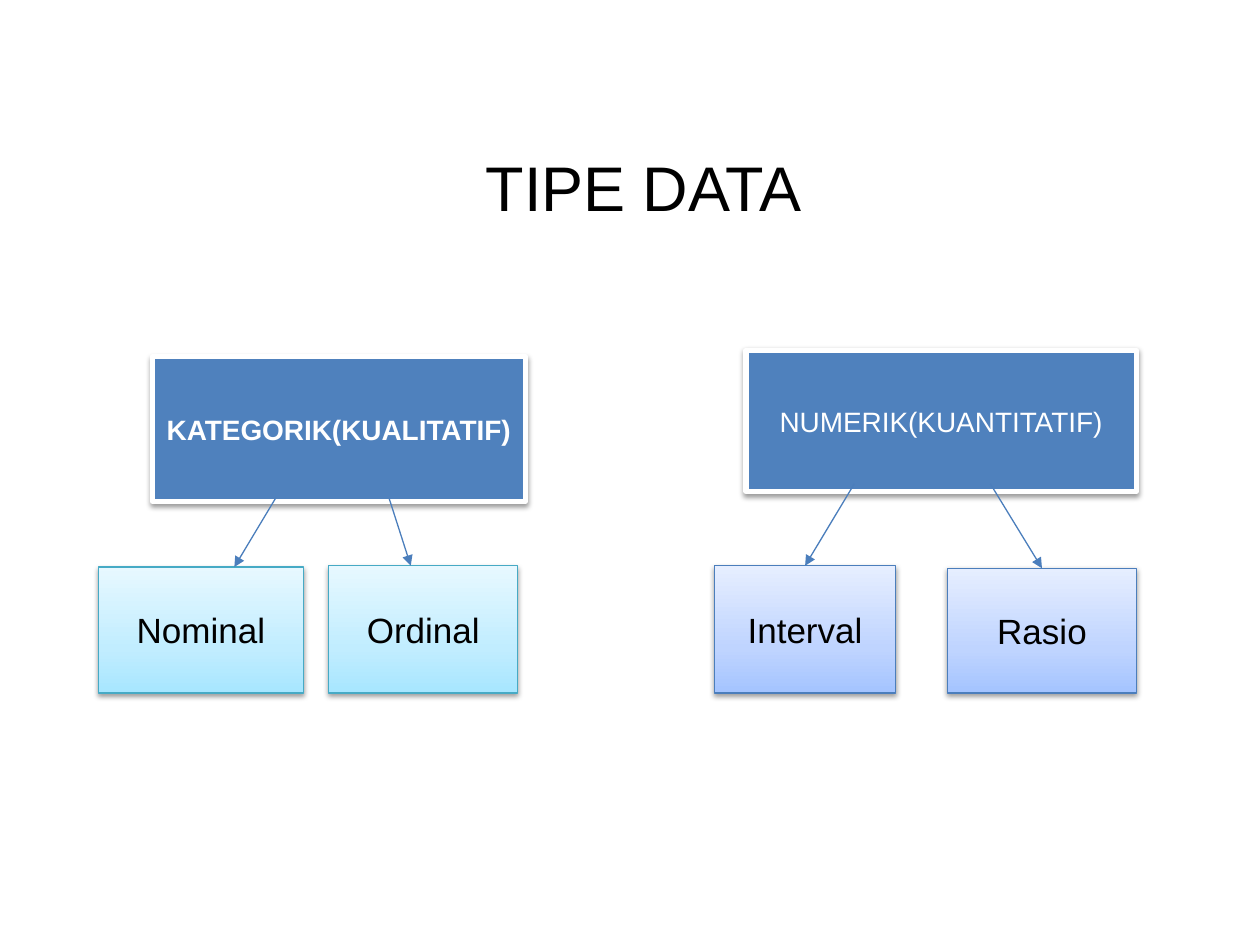
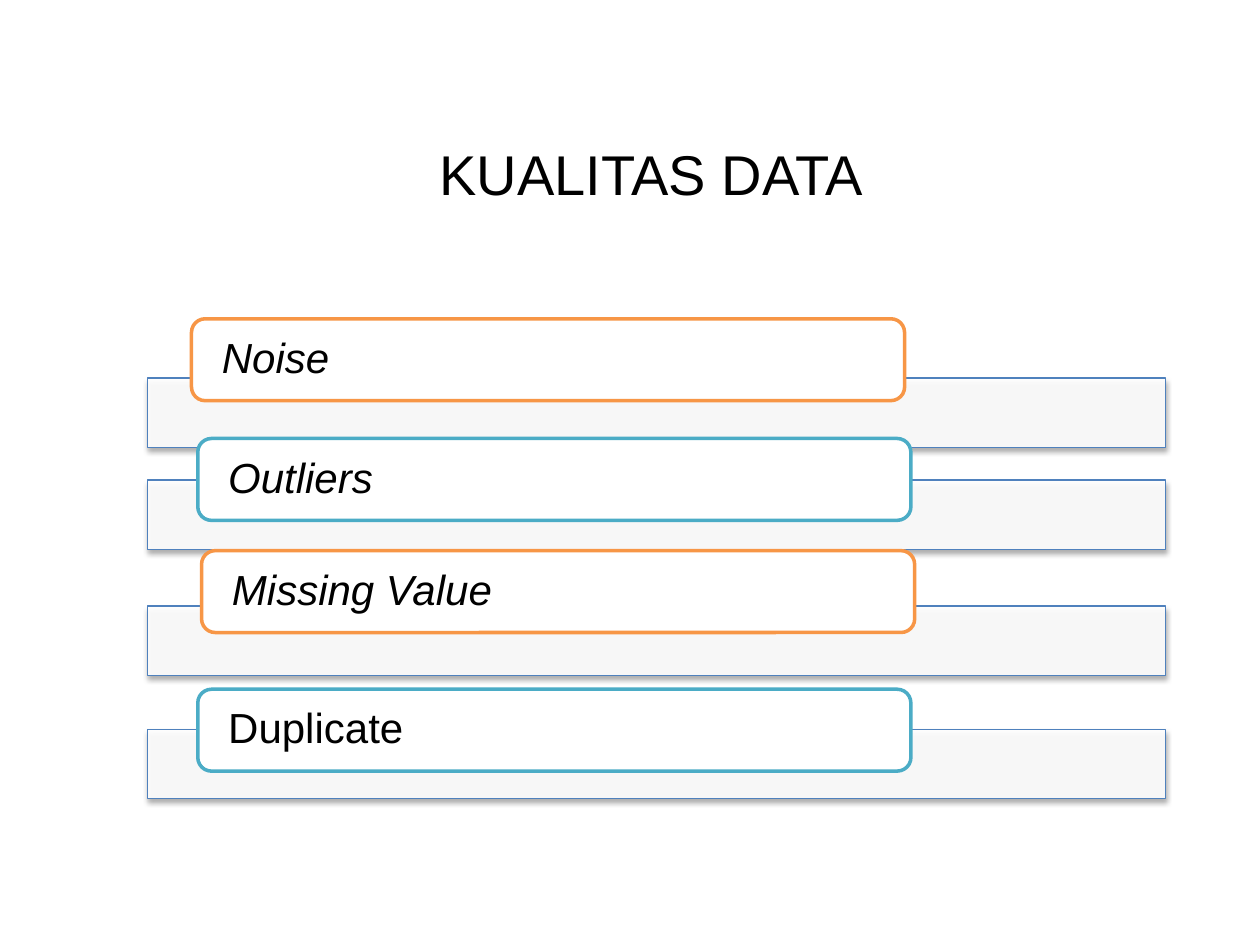
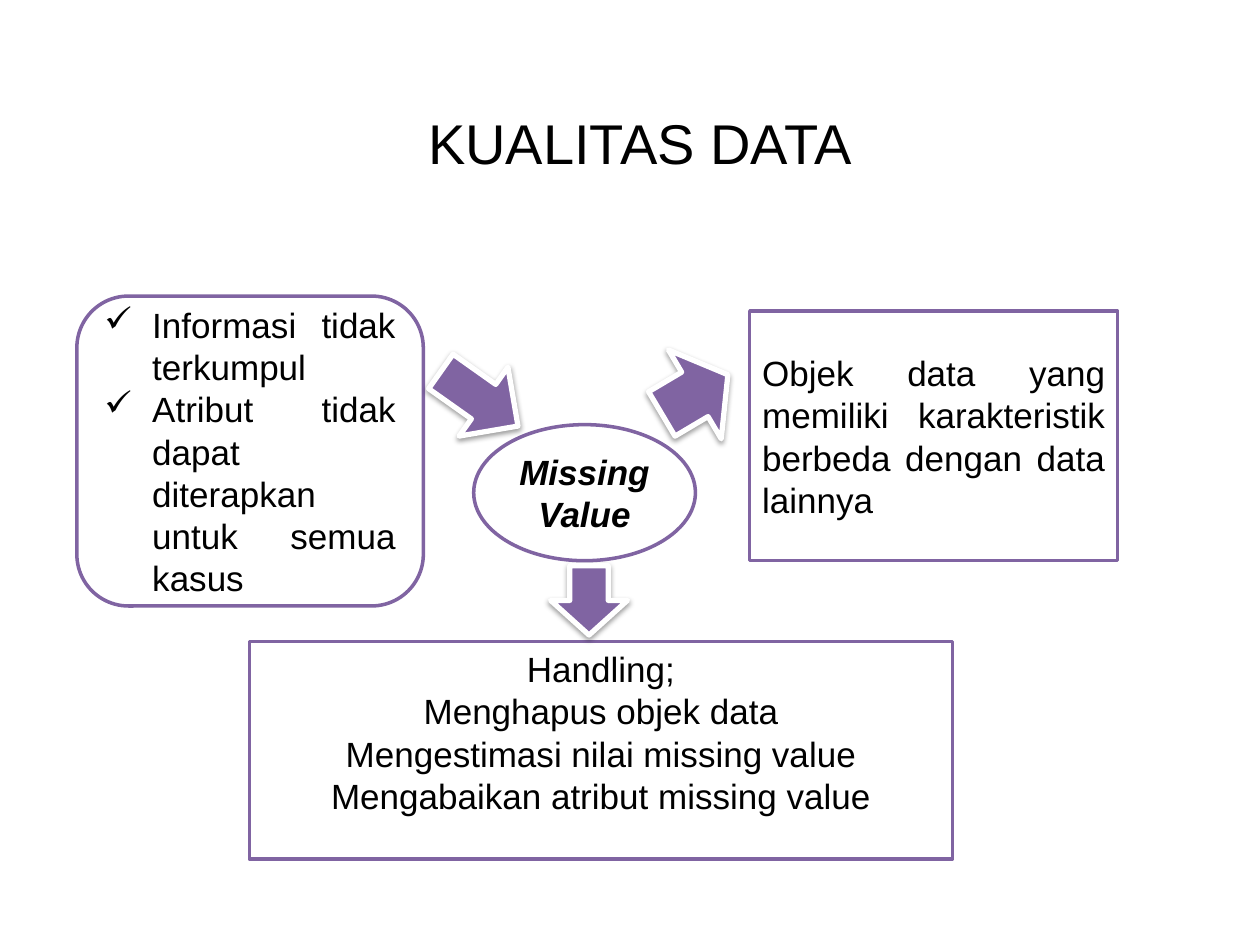
from dataclasses import dataclass
from typing import Optional

from lxml.etree import SubElement
from pptx import Presentation
from pptx.dml.color import RGBColor
from pptx.enum.shapes import MSO_CONNECTOR as CONN, MSO_SHAPE as SHAPE
from pptx.enum.text import MSO_ANCHOR as ANCHOR, PP_ALIGN as ALIGN
from pptx.oxml.ns import qn
from pptx.util import Pt

PX = 9144  # EMU per px, 100 px to the inch
FONT = "Arial"
COLORS = {
    "white": "FFFFFF", "black": "000000", "blue": "4F81BD", "edge": "4B7EBC",
    "aqua": "4BACC6", "aqua_edge": "46AAC5", "orange": "F79646", "purple": "8064A2",
}
GRADIENTS = {  # bottom to top
    "aqua_fade": ((0, "A7E6FF"), (35, "C1EDFF"), (100, "E7F8FF")),
    "blue_fade": ((0, "A4C4FF"), (35, "BFD4FF"), (100, "E6EEFF")),
}


@dataclass(frozen=True)
class Shadow:
    alpha: int
    dist: float  # points
    blur: float = 3.1


SOFT = Shadow(38, 1.6)
BAR_SHADOW = Shadow(35, 1.8)


@dataclass(frozen=True)
class Text:
    paras: tuple[str, ...]
    size: int = 20
    color: str = "black"
    bold: bool = False
    italic: bool = False
    align: ALIGN = ALIGN.CENTER
    bullet: str = ""
    spacing: float = 1.0
    insets: tuple[int, int, int, int] = (10, 5, 10, 5)


@dataclass(frozen=True)
class Box:
    at: tuple[int, int, int, int]
    fill: str
    line: str
    width: float
    kind: SHAPE = SHAPE.RECTANGLE
    text: Optional[Text] = None
    shadow: Optional[Shadow] = None
    opacity: int = 100
    turn: float = 0


def rgb(name: str) -> RGBColor:
    return RGBColor.from_string(COLORS[name])


def write(sp, text: Text) -> None:
    tf = sp.text_frame
    tf.word_wrap = True
    tf.vertical_anchor = ANCHOR.MIDDLE
    tf.margin_left, tf.margin_top, tf.margin_right, tf.margin_bottom = (
        n * PX for n in text.insets)
    for i, words in enumerate(text.paras):
        p = tf.add_paragraph() if i else tf.paragraphs[0]
        p.alignment = text.align
        p.line_spacing = text.spacing
        if text.bullet:
            pPr = p._p.get_or_add_pPr()
            pPr.set("marL", str(38 * PX))
            pPr.set("indent", str(-38 * PX))
            SubElement(pPr, qn("a:buChar")).set("char", text.bullet)
        r = p.add_run()
        r.text = words
        f = r.font
        f.name, f.size, f.bold, f.italic = FONT, Pt(text.size), text.bold, text.italic
        f.color.rgb = rgb(text.color)


def paint(sp, name: str, opacity: int) -> None:
    fill = sp.fill
    if name in GRADIENTS:
        fill.gradient()
        fill.gradient_angle = 90
        stops = sp._element.spPr.find(".//" + qn("a:gsLst"))
        stops.clear()
        for pos, color in GRADIENTS[name]:
            gs = SubElement(stops, qn("a:gs"), pos=str(pos * 1000))
            SubElement(gs, qn("a:srgbClr"), val=color)
        return
    fill.solid()
    fill.fore_color.rgb = rgb(name)
    if opacity < 100:
        color = sp._element.spPr.find(qn("a:solidFill")).find(qn("a:srgbClr"))
        SubElement(color, qn("a:alpha"), val=str(opacity * 1000))


def cast(sp, shadow: Optional[Shadow]) -> None:
    sp.shadow.inherit = False
    if shadow:
        effects = sp._element.spPr.find(qn("a:effectLst"))
        outer = SubElement(effects, qn("a:outerShdw"), blurRad=str(Pt(shadow.blur)),
                           dist=str(Pt(shadow.dist)), dir="5400000", rotWithShape="0")
        color = SubElement(outer, qn("a:srgbClr"), val=COLORS["black"])
        SubElement(color, qn("a:alpha"), val=str(shadow.alpha * 1000))


def draw(slide, box: Box) -> None:
    sp = slide.shapes.add_shape(box.kind, *(n * PX for n in box.at))
    sp.rotation = box.turn
    paint(sp, box.fill, box.opacity)
    sp.line.color.rgb = rgb(box.line)
    sp.line.width = Pt(box.width)
    cast(sp, box.shadow)
    if box.text:
        write(sp, box.text)


def arrow(slide, x1: int, y1: int, x2: int, y2: int) -> None:
    c = slide.shapes.add_connector(CONN.STRAIGHT, x1 * PX, y1 * PX, x2 * PX, y2 * PX)
    c.line.color.rgb = rgb("edge")
    c.line.width = Pt(0.75)
    SubElement(c.line._get_or_add_ln(), qn("a:tailEnd"), type="triangle")
    SubElement(c._element.spPr, qn("a:effectLst"))


def titled_slide(prs, title: str, left: int, top: int, size: int):
    slide = prs.slides.add_slide(prs.slide_layouts[6])
    sp = slide.shapes.add_textbox(left * PX, top * PX, 900 * PX, 75 * PX)
    write(sp, Text((title,), size))
    return slide


def data_types(prs) -> None:
    slide = titled_slide(prs, "TIPE DATA", 61, 110, 36)
    # Kinds of data, below their groups
    for name, at, fill, line in (
        ("Ordinal", (261, 449, 150, 101), "aqua_fade", "aqua_edge"),
        ("Interval", (567, 449, 144, 101), "blue_fade", "edge"),
        ("Nominal", (78, 450, 163, 100), "aqua_fade", "aqua_edge"),
        ("Rasio", (752, 451, 150, 99), "blue_fade", "edge"),
    ):
        draw(slide, Box(at, fill, line, 0.75, text=Text((name,)), shadow=SOFT))
    # Groups, each with two arrows
    for name, at, bold, arrows in (
        ("KATEGORIK(KUALITATIF)", (121, 283, 296, 115), True,
         ((309, 396, 326, 449), (219, 395, 186, 450))),
        ("NUMERIK(KUANTITATIF)", (592, 278, 310, 112), False,
         ((786, 384, 827, 451), (678, 384, 639, 449))),
    ):
        draw(slide, Box(at, "blue", "white", 3, shadow=SOFT,
                        text=Text((name,), 16, "white", bold)))
        for ends in arrows:
            arrow(slide, *ends)


def quality_issues(prs) -> None:
    slide = titled_slide(prs, "KUALITAS DATA", 67, 100, 32)
    # A bar with a label over its upper edge
    for name, bar_top, left, top, line, italic in (
        ("Noise", 300, 152, 253, "orange", True),
        ("Outliers", 381, 157, 348, "aqua", True),
        ("Missing Value", 481, 160, 437, "orange", True),
        ("Duplicate", 579, 157, 547, "aqua", False),
    ):
        draw(slide, Box((117, bar_top, 808, 55), "white", "blue", 0.75,
                        shadow=BAR_SHADOW, opacity=90))
        label = Text((name,), 24, italic=italic, align=ALIGN.LEFT,
                     spacing=0.9, insets=(21, 0, 21, 0))
        draw(slide, Box((left, top, 566, 65), "white", line, 2,
                        SHAPE.ROUNDED_RECTANGLE, label))


def missing_value(prs) -> None:
    slide = titled_slide(prs, "KUALITAS DATA", 58, 75, 32)
    # Definition, topic, causes and handling
    for kind, at, text in (
        (SHAPE.RECTANGLE, (595, 247, 292, 198), Text(
            ("Objek data yang memiliki karakteristik berbeda dengan data lainnya",),
            align=ALIGN.JUSTIFY)),
        (SHAPE.OVAL, (376, 337, 176, 108),
         Text(("Missing Value",), bold=True, italic=True)),
        (SHAPE.ROUNDED_RECTANGLE, (61, 235, 275, 246), Text(
            ("Informasi tidak terkumpul",
             "Atribut tidak dapat diterapkan untuk semua kasus"),
            align=ALIGN.JUSTIFY, bullet="✓")),
        (SHAPE.RECTANGLE, (198, 509, 558, 173), Text(
            ("Handling;", "Menghapus objek data",
             "Mengestimasi nilai missing value",
             "Mengabaikan atribut missing value"), insets=(10, 5, 10, 34))),
    ):
        draw(slide, Box(at, "white", "purple", 2, kind, text))
    # Block arrows between them
    for kind, at, turn in (
        (SHAPE.RIGHT_ARROW, (521, 272, 61, 82), 329.3),
        (SHAPE.RIGHT_ARROW, (343, 283, 75, 67), 35.3),
        (SHAPE.DOWN_ARROW, (437, 449, 61, 55), 0),
    ):
        draw(slide, Box(at, "purple", "white", 3, kind, shadow=SOFT, turn=turn))


def main() -> None:
    prs = Presentation()
    prs.slide_width, prs.slide_height = 1000 * PX, 750 * PX
    data_types(prs)
    quality_issues(prs)
    missing_value(prs)
    prs.save("out.pptx")


if __name__ == "__main__":
    main()
